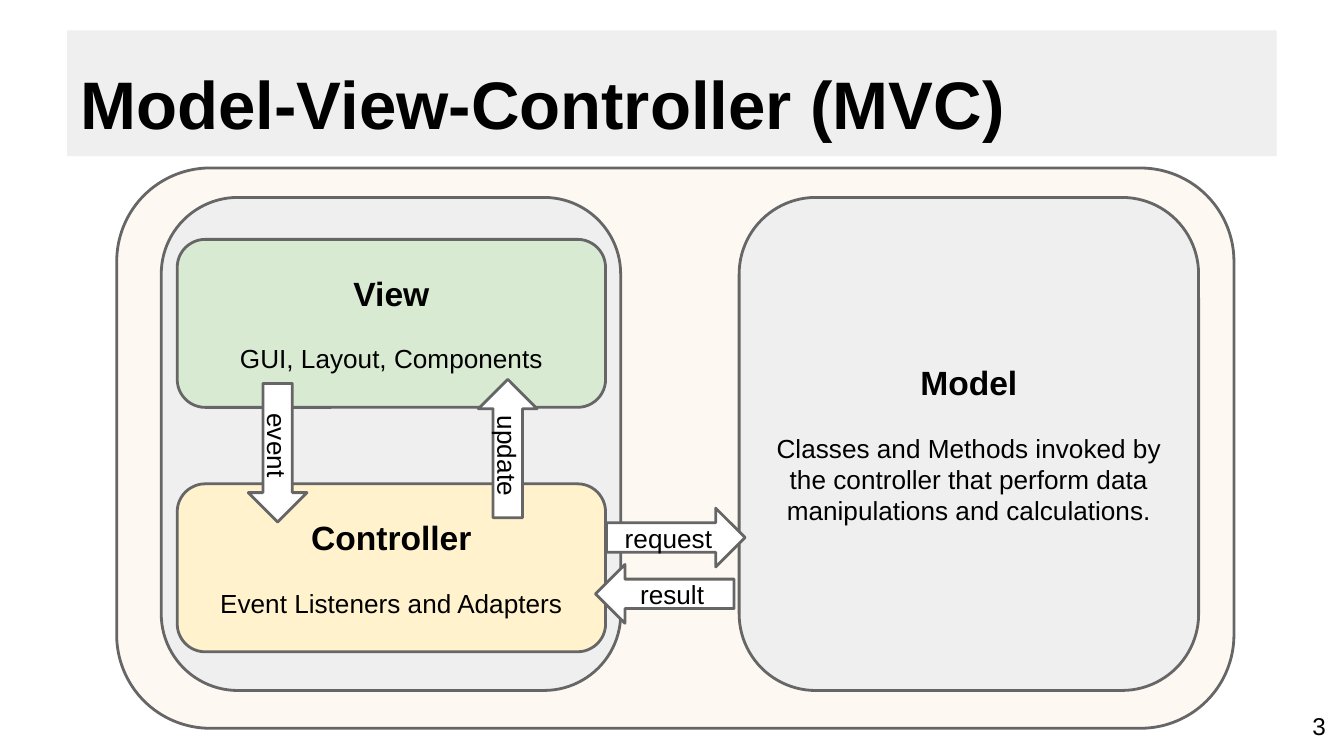
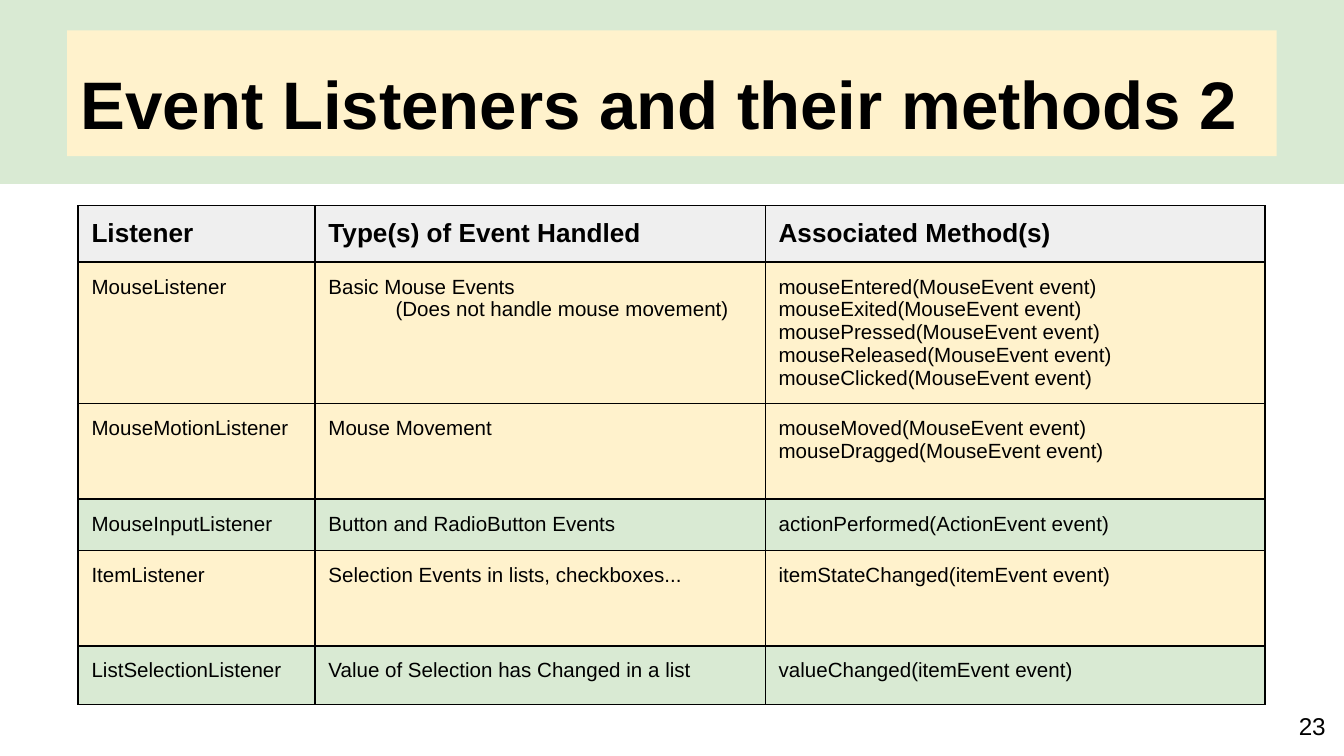
from dataclasses import dataclass
from typing import Any, NamedTuple, Optional

from lxml.etree import SubElement
from pptx import Presentation
from pptx.dml.color import RGBColor as Rgb
from pptx.enum.shapes import MSO_SHAPE as Preset
from pptx.enum.text import MSO_ANCHOR as Anchor, MSO_AUTO_SIZE as AutoSize, PP_ALIGN as Align
from pptx.oxml.ns import qn
from pptx.util import Emu, Pt

EMU_PER_PX = 5715


def px(length: int) -> Emu:
    return Emu(length * EMU_PER_PX)


@dataclass(frozen=True)
class Theme:
    font: str = "Arial"
    ink: str = "000000"
    white: str = "FFFFFF"
    gray: str = "EFEFEF"
    green: str = "D9EAD3"
    yellow: str = "FFF2CC"
    peach: str = "FCE5CD"
    outline: str = "666666"
    title_size: int = 36
    heading_size: int = 18
    body_size: int = 14
    page_size: int = 13
    cell_size: int = 11
    outline_width: float = 1.5
    grid_width: float = 0.75
    inset: int = 16


THEME = Theme()


class Box(NamedTuple):
    left: int
    top: int
    width: int
    height: int

    def emu(self) -> list[Emu]:
        return [px(length) for length in self]


class Line(NamedTuple):
    text: str
    size: int
    bold: bool = False
    space_before: int = 0
    indent: int = 0


class Component(NamedTuple):
    box: Box
    fill: str
    heading: str = ""
    detail: str = ""
    opacity: Optional[int] = None


class Message(NamedTuple):
    label: str
    left: int
    top: int
    rotation: int = 0
    flipped: bool = False


class ListenerRow(NamedTuple):
    height: int
    fill: str
    cells: tuple[tuple[str, ...], ...]


SLIDE = Box(0, 0, 1600, 900)
TITLE = Box(80, 36, 1440, 150)
TITLE_BAND = Box(0, 0, 1600, 219)
PAGE_NUMBER = Box(1498, 830, 96, 69)
ARROW_WIDTH, ARROW_HEIGHT = 165, 70

COMPONENTS = (
    Component(Box(139, 200, 1330, 667), THEME.peach, opacity=26),
    Component(Box(192, 235, 547, 587), THEME.gray),
    Component(Box(211, 576, 510, 200), THEME.yellow, "Controller", "Event Listeners and Adapters"),
    Component(
        Box(880, 235, 547, 587), THEME.gray, "Model",
        "Classes and Methods invoked by the controller that perform data manipulations and calculations.",
    ),
    Component(Box(211, 285, 510, 200), THEME.green, "View", "GUI, Layout, Components"),
)

MESSAGES = (
    Message("update", 522, 499, rotation=90, flipped=True),
    Message("event", 248, 504, rotation=90),
    Message("request", 722, 605),
    Message("result", 709, 672, flipped=True),
)

TABLE_LEFT, TABLE_TOP = 93, 245
COLUMN_WIDTHS = (282, 536, 595)
INDENTED = "(Does not handle mouse movement)"
MOUSE_ACTIONS = ("Entered", "Exited", "Pressed", "Released", "Clicked")
MOTION_ACTIONS = ("Moved", "Dragged")


def mouse_methods(actions: tuple[str, ...]) -> tuple[str, ...]:
    return tuple(f"mouse{action}(MouseEvent event)" for action in actions)


LISTENER_ROWS = (
    ListenerRow(51, THEME.gray, (
        ("Listener",), ("Type(s) of Event Handled",), ("Associated Method(s)",))),
    ListenerRow(46, THEME.yellow, (
        ("MouseListener",), ("Basic Mouse Events", INDENTED), mouse_methods(MOUSE_ACTIONS))),
    ListenerRow(114, THEME.yellow, (
        ("MouseMotionListener",), ("Mouse Movement",), mouse_methods(MOTION_ACTIONS))),
    ListenerRow(61, THEME.green, (
        ("MouseInputListener",), ("Button and RadioButton Events",),
        ("actionPerformed(ActionEvent event)",))),
    ListenerRow(114, THEME.yellow, (
        ("ItemListener",), ("Selection Events in lists, checkboxes...",),
        ("itemStateChanged(itemEvent event)",))),
    ListenerRow(70, THEME.green, (
        ("ListSelectionListener",), ("Value of Selection has Changed in a list",),
        ("valueChanged(itemEvent event)",))),
)


def apply(target: Any, values: dict[str, Any]) -> None:
    for name, value in values.items():
        setattr(target, name, value)


def margins() -> dict[str, Emu]:
    return {f"margin_{side}": px(THEME.inset) for side in ("left", "right", "top", "bottom")}


def paint(target: Any, color: str) -> None:
    target.fill.solid()
    target.fill.fore_color.rgb = Rgb.from_string(color)


def write(frame: Any, lines: list[Line], align: Align) -> None:
    for index, line in enumerate(lines):
        paragraph = frame.paragraphs[0] if index == 0 else frame.add_paragraph()
        paragraph.alignment = align
        if line.space_before:
            paragraph.space_before = Pt(line.space_before)
        if line.indent:
            properties = paragraph._p.get_or_add_pPr()
            properties.set("marL", str(px(line.indent)))
            properties.set("indent", "0")
        run = paragraph.add_run()
        run.text = line.text
        apply(run.font, {"name": THEME.font, "size": Pt(line.size), "bold": line.bold})
        run.font.color.rgb = Rgb.from_string(THEME.ink)


def fill_frame(frame: Any, lines: list[Line], align: Align, anchor: Anchor) -> None:
    apply(frame, {
        "word_wrap": True, "auto_size": AutoSize.NONE, "vertical_anchor": anchor, **margins(),
    })
    write(frame, lines, align)


def add_panel(slide: Any, preset: Preset, box: Box, color: str, outlined: bool = True) -> Any:
    shape = slide.shapes.add_shape(preset, *box.emu())
    shape.shadow.inherit = False
    paint(shape, color)
    if outlined:
        shape.line.color.rgb = Rgb.from_string(THEME.outline)
        shape.line.width = Pt(THEME.outline_width)
    else:
        shape.line.fill.background()
    return shape


def add_component(slide: Any, component: Component) -> None:
    shape = add_panel(slide, Preset.ROUNDED_RECTANGLE, component.box, component.fill)
    if component.opacity is not None:
        color = shape.element.spPr.find(qn("a:solidFill"))[0]
        SubElement(color, qn("a:alpha"), val=str(component.opacity * 1000))
    if component.heading:
        lines = [
            Line(component.heading, THEME.heading_size, bold=True),
            Line(component.detail, THEME.body_size, space_before=16),
        ]
        fill_frame(shape.text_frame, lines, Align.CENTER, Anchor.MIDDLE)


def add_message(slide: Any, message: Message) -> None:
    box = Box(message.left, message.top, ARROW_WIDTH, ARROW_HEIGHT)
    shape = add_panel(slide, Preset.RIGHT_ARROW, box, THEME.white)
    shape.rotation = message.rotation
    if message.flipped:
        shape.element.spPr.xfrm.set("flipH", "1")
    lines = [Line(message.label, THEME.body_size)]
    fill_frame(shape.text_frame, lines, Align.CENTER, Anchor.MIDDLE)


def add_title(slide: Any, text: str, color: str) -> None:
    title = slide.shapes.title
    apply(title, dict(zip(("left", "top", "width", "height"), TITLE.emu())))
    paint(title, color)
    lines = [Line(text, THEME.title_size, bold=True)]
    fill_frame(title.text_frame, lines, Align.LEFT, Anchor.BOTTOM)
    title.element.getparent().append(title.element)


def add_page_number(slide: Any, number: int) -> None:
    box = slide.shapes.add_textbox(*PAGE_NUMBER.emu())
    lines = [Line(str(number), THEME.page_size)]
    fill_frame(box.text_frame, lines, Align.RIGHT, Anchor.MIDDLE)


def add_borders(cell: Any) -> None:
    properties = cell._tc.get_or_add_tcPr()
    for side in ("lnL", "lnR", "lnT", "lnB"):
        border = SubElement(properties, qn(f"a:{side}"), w=str(Pt(THEME.grid_width)))
        SubElement(SubElement(border, qn("a:solidFill")), qn("a:srgbClr"), val=THEME.ink)


def add_listener_table(slide: Any) -> None:
    box = Box(TABLE_LEFT, TABLE_TOP, sum(COLUMN_WIDTHS), sum(row.height for row in LISTENER_ROWS))
    table = slide.shapes.add_table(len(LISTENER_ROWS), len(COLUMN_WIDTHS), *box.emu()).table
    apply(table, {"first_row": False, "horz_banding": False})
    for column, width in zip(table.columns, COLUMN_WIDTHS):
        column.width = px(width)
    for row_index, row in enumerate(LISTENER_ROWS):
        table.rows[row_index].height = px(row.height)
        header = row_index == 0
        size = THEME.body_size if header else THEME.cell_size
        for column_index, texts in enumerate(row.cells):
            cell = table.cell(row_index, column_index)
            apply(cell, {"vertical_anchor": Anchor.TOP, **margins()})
            add_borders(cell)
            paint(cell, row.fill)
            lines = [Line(text, size, header, indent=80 if text == INDENTED else 0) for text in texts]
            write(cell.text_frame, lines, Align.LEFT)


def build_mvc_slide(slide: Any) -> None:
    add_title(slide, "Model-View-Controller (MVC)", THEME.gray)
    for component in COMPONENTS:
        add_component(slide, component)
    for message in MESSAGES:
        add_message(slide, message)
    add_page_number(slide, 3)


def build_listener_slide(slide: Any) -> None:
    add_listener_table(slide)
    add_panel(slide, Preset.RECTANGLE, TITLE_BAND, THEME.green, outlined=False)
    add_title(slide, "Event Listeners and their methods 2", THEME.yellow)
    add_page_number(slide, 23)


def main() -> None:
    presentation = Presentation()
    apply(presentation, {"slide_width": px(SLIDE.width), "slide_height": px(SLIDE.height)})
    title_only = presentation.slide_layouts[5]
    for build in (build_mvc_slide, build_listener_slide):
        build(presentation.slides.add_slide(title_only))
    presentation.save("out.pptx")


if __name__ == "__main__":
    main()
